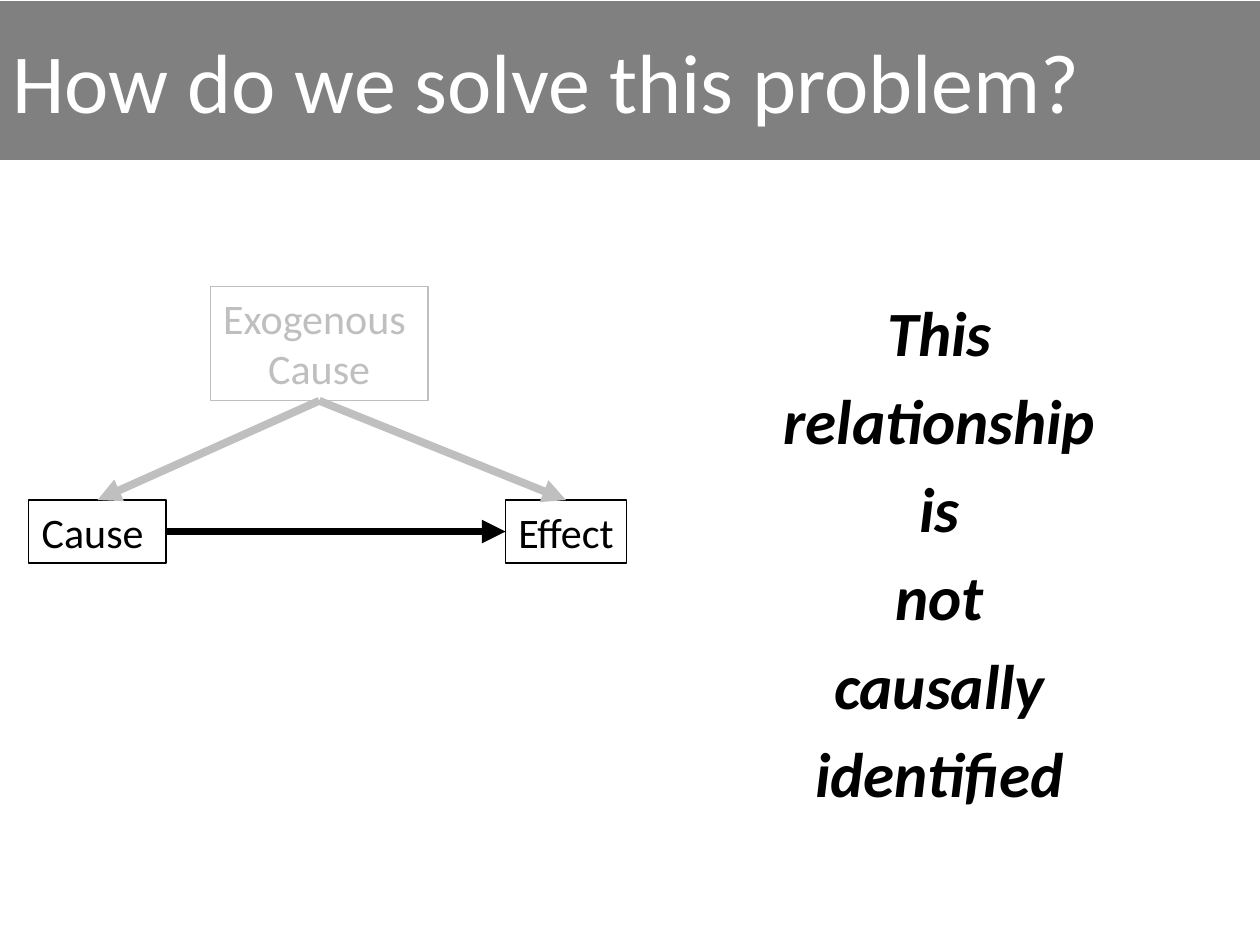
from lxml import etree
from pptx import Presentation
from pptx.dml.color import RGBColor
from pptx.enum.shapes import MSO_CONNECTOR, MSO_SHAPE
from pptx.enum.text import MSO_ANCHOR, MSO_AUTO_SIZE, PP_ALIGN
from pptx.oxml.ns import qn
from pptx.util import Cm, Pt

RECT = MSO_SHAPE.RECTANGLE
LINE = MSO_CONNECTOR.STRAIGHT
LEFT, MID = PP_ALIGN.LEFT, PP_ALIGN.CENTER
TOP, CENTER = MSO_ANCHOR.TOP, MSO_ANCHOR.MIDDLE
GROW, FIXED = MSO_AUTO_SIZE.SHAPE_TO_FIT_TEXT, MSO_AUTO_SIZE.NONE
BLACK, WHITE, GRAY, PALE = "000000", "FFFFFF", "808080", "BFBFBF"


def color(code):
    return RGBColor.from_string(code)


def write(shape, lines, ink, frame, font, align=MID, gap=0):
    text = shape.text_frame
    for key, value in frame.items():
        setattr(text, key, value)
    for i, line in enumerate(lines):
        para = text.paragraphs[0] if i == 0 else text.add_paragraph()
        para.alignment = align
        para.space_before = Pt(gap if i else 0)
        run = para.add_run()
        run.text = line
        for key, value in {"name": "Calibri", **font}.items():
            setattr(run.font, key, value)
        run.font.color.rgb = color(ink)


deck = Presentation()
deck.slide_width, deck.slide_height = Cm(25.4), Cm(19.05)
slide = deck.slides.add_slide(deck.slide_layouts[6])
shapes = slide.shapes

title = shapes.add_shape(RECT, Cm(0), Cm(0.03), Cm(25.4), Cm(3.18))
title.shadow.inherit = False
title.fill.solid()
title.fill.fore_color.rgb = color(GRAY)
title.line.color.rgb = color(GRAY)
title.line.width = Pt(0.75)
write(title, ["How do we solve this problem?"], WHITE,
      {"word_wrap": True, "vertical_anchor": CENTER, "auto_size": FIXED},
      {"size": Pt(48)}, LEFT)

body = shapes.add_textbox(Cm(13.06), Cm(5.79), Cm(11.76), Cm(11.71))
words = ["This", "relationship", "is", "not", "causally", "identified"]
write(body, words, BLACK,
      {"word_wrap": True, "vertical_anchor": TOP, "auto_size": FIXED},
      {"size": Pt(36), "bold": True, "italic": True}, gap=7.2)

nodes = {
    "cause": (["Cause "], 0.58, 10.08, 2.77, 1.27, BLACK),
    "effect": (["Effect"], 10.19, 10.08, 2.44, 1.27, BLACK),
    "outer": (["Exogenous ", "Cause"], 4.24, 5.77, 4.39, 2.31, PALE),
}
boxes = {}
for name, (lines, x, y, w, h, ink) in nodes.items():
    box = shapes.add_shape(RECT, Cm(x), Cm(y), Cm(w), Cm(h))
    box.shadow.inherit = False
    box.fill.background()
    box.line.color.rgb = color(ink)
    box.line.width = Pt(0.75)
    write(box, lines, ink,
          {"word_wrap": False, "vertical_anchor": TOP, "auto_size": GROW},
          {"size": Pt(24)})
    boxes[name] = box

links = [
    ("cause", 3, "effect", 1, BLACK),
    ("outer", 2, "cause", 0, PALE),
    ("outer", 2, "effect", 0, PALE),
]
for start, out, end, into, ink in links:
    arrow = shapes.add_connector(LINE, Cm(0), Cm(0), Cm(1), Cm(1))
    arrow.begin_connect(boxes[start], out)
    arrow.end_connect(boxes[end], into)
    arrow.line.color.rgb = color(ink)
    arrow.line.width = Pt(4.5)
    etree.SubElement(arrow.line._get_or_add_ln(), qn("a:tailEnd"), type="triangle")
    etree.SubElement(arrow._element.spPr, qn("a:effectLst"))

deck.save("out.pptx")
